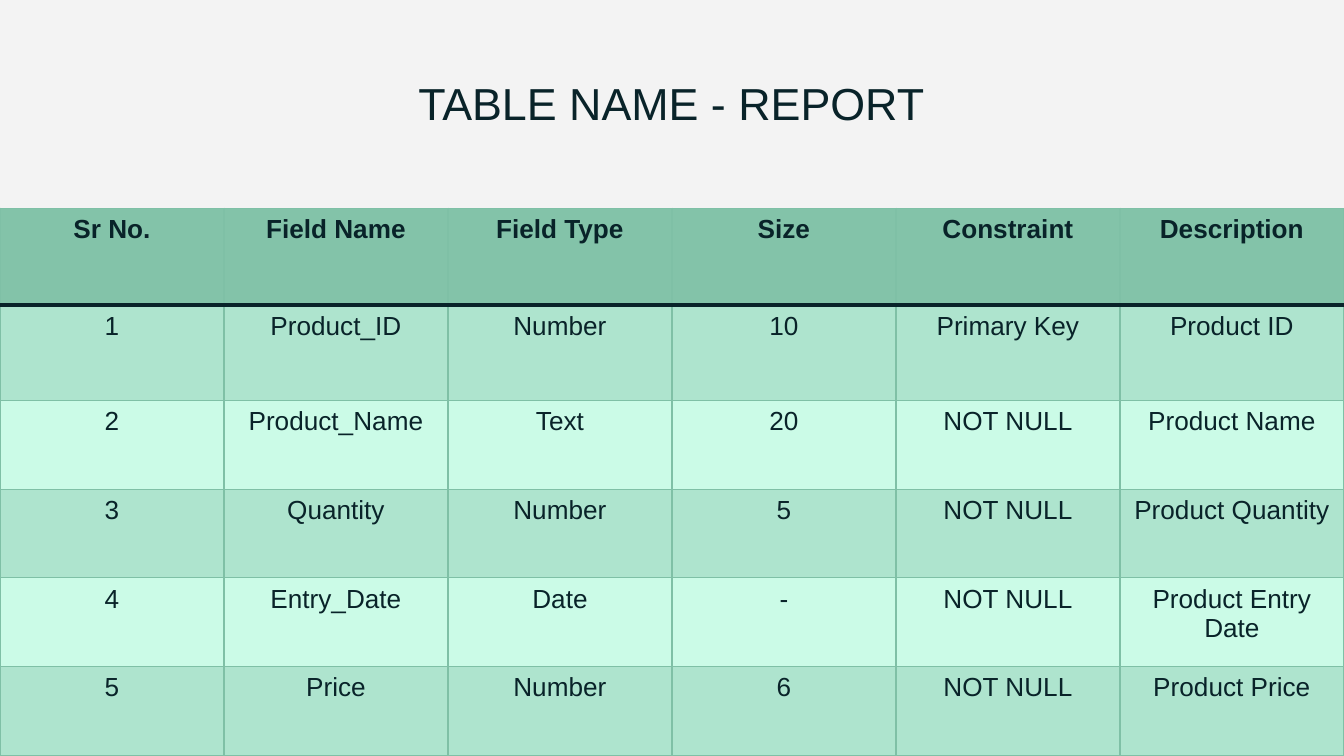
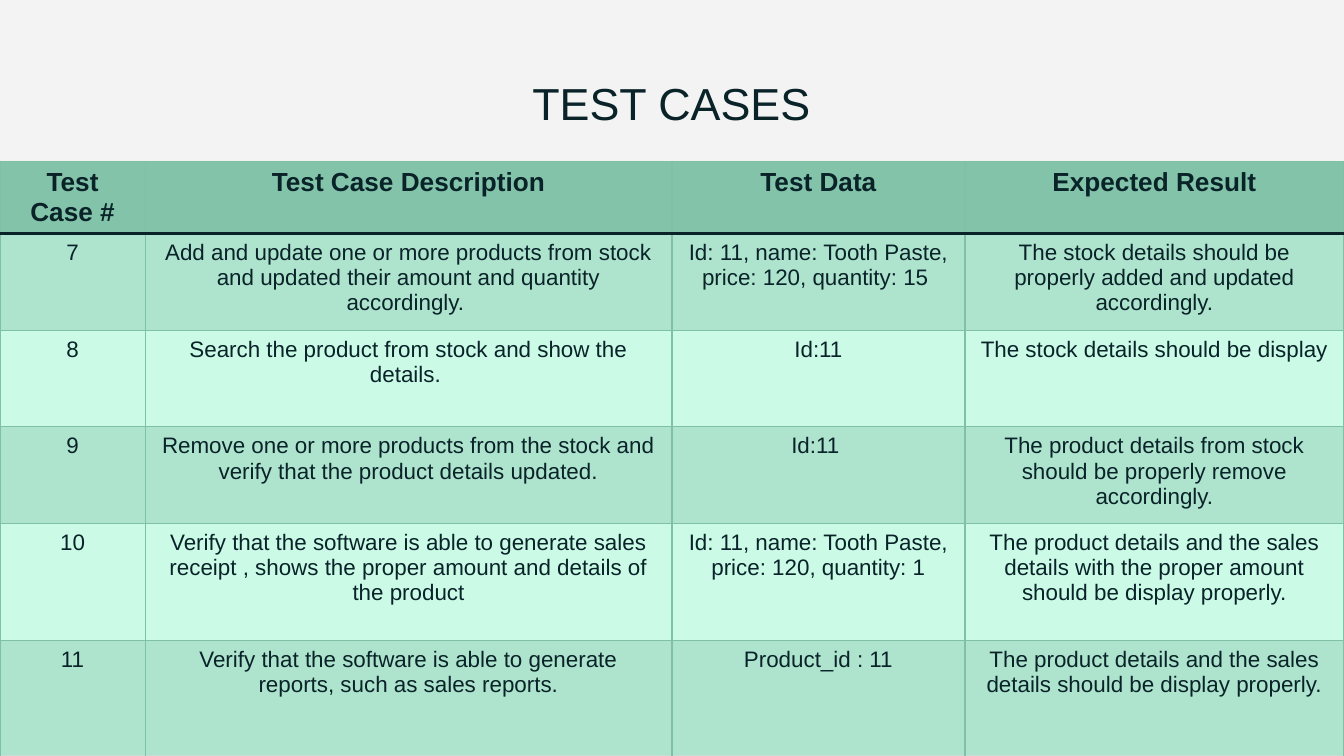
from lxml import etree
from pptx import Presentation
from pptx.dml.color import RGBColor
from pptx.enum.shapes import MSO_SHAPE
from pptx.enum.text import MSO_ANCHOR, PP_ALIGN
from pptx.oxml.ns import qn
from pptx.util import Inches, Pt

RECTANGLE = MSO_SHAPE.RECTANGLE
MIDDLE = MSO_ANCHOR.MIDDLE
CENTER = PP_ALIGN.CENTER

PAPER = RGBColor(0xF3, 0xF3, 0xF3)
MINT = RGBColor(0xCB, 0xFB, 0xE7)
SAGE = RGBColor(0x83, 0xC3, 0xA9)
GRID = RGBColor(0x7F, 0xC0, 0xA6)
INK = RGBColor(0x09, 0x23, 0x29)

FONT = "Arial"
WIDTH = Inches(10)
HEIGHT = WIDTH * 9 // 16
BAND_BOX = (Inches(-0.03), Inches(1.55), Inches(10.05), Inches(4.07))
TITLE_BOX = (Inches(1.5), Inches(0.45), Inches(6.99), Inches(0.63))
STRIPE_OPACITY = 40

REPORT_FIELDS = [
    ("Sr No.", "Field Name", "Field Type", "Size", "Constraint", "Description"),
    ("1", "Product_ID", "Number", "10", "Primary Key", "Product ID"),
    ("2", "Product_Name", "Text", "20", "NOT NULL", "Product Name"),
    ("3", "Quantity", "Number", "5", "NOT NULL", "Product Quantity"),
    ("4", "Entry_Date", "Date", "-", "NOT NULL", "Product Entry Date"),
    ("5", "Price", "Number", "6", "NOT NULL", "Product Price"),
]

TEST_CASES = [
    ("Test Case #", "Test Case Description", "Test Data", "Expected Result"),
    ("7",
     "Add and update one or more products from stock and updated their "
     "amount and quantity accordingly. ",
     "Id: 11, name: Tooth Paste, price: 120, quantity: 15 ",
     "The stock details should be properly added and updated accordingly."),
    ("8",
     "Search the product from stock and show the details. ",
     "Id:11",
     "The stock details should be display"),
    ("9",
     "Remove one or more products from the stock and verify that the "
     "product details updated.",
     "Id:11 ",
     "The product details from stock should be properly remove accordingly."),
    ("10",
     "Verify that the software is able to generate sales receipt , shows "
     "the proper amount and details of the product",
     "Id: 11, name: Tooth Paste, price: 120, quantity: 1",
     "The product details and the sales details with the proper amount "
     "should be display properly."),
    ("11",
     "Verify that the software is able to generate reports, such as sales "
     "reports.",
     "Product_id : 11",
     "The product details and the sales details should be display properly."),
]


def write(frame, wording, size, bold=False):
    paragraph = frame.paragraphs[0]
    paragraph.alignment = CENTER
    run = paragraph.add_run()
    run.text = wording
    run.font.name = FONT
    run.font.size = Pt(size)
    run.font.bold = bold
    run.font.color.rgb = INK


def add_border(cell, side, color, points):
    properties = cell._tc.get_or_add_tcPr()
    line = etree.SubElement(properties, qn("a:ln" + side), w=str(Pt(points)))
    fill = etree.SubElement(line, qn("a:solidFill"))
    etree.SubElement(fill, qn("a:srgbClr"), val=str(color))


def style_cell(cell, row):
    heavy_side = {0: "B", 1: "T"}.get(row)
    for side in "LRTB":
        if side == heavy_side:
            add_border(cell, side, INK, 2)
        else:
            add_border(cell, side, GRID, 0.75)
    if row and row % 2 == 0:
        cell.fill.background()
        return
    cell.fill.solid()
    cell.fill.fore_color.rgb = SAGE
    if row:
        color = cell._tc.tcPr.find(qn("a:solidFill")).find(qn("a:srgbClr"))
        etree.SubElement(color, qn("a:alpha"), val=str(STRIPE_OPACITY * 1000))
    else:
        cell.margin_bottom = Inches(0.02)


def add_band(slide, box):
    band = slide.shapes.add_shape(RECTANGLE, *box)
    band.shadow.inherit = False
    band.fill.solid()
    band.fill.fore_color.rgb = MINT
    band.line.fill.background()


def add_title(slide, box, wording):
    frame = slide.shapes.add_textbox(*box).text_frame
    frame.word_wrap = True
    frame.vertical_anchor = MIDDLE
    frame.margin_left = frame.margin_right = Inches(0.1)
    frame.margin_top = frame.margin_bottom = Inches(0.1)
    write(frame, wording, 24)


def add_grid(slide, top, records, columns, rows, body_size):
    height = Inches(sum(rows))
    grid = slide.shapes.add_table(
        len(rows), len(columns), 0, top, WIDTH, height).table
    grid.first_row = grid.horz_banding = False
    for column, share in zip(grid.columns, columns):
        column.width = int(WIDTH * share / sum(columns))
    for row, row_height in zip(grid.rows, rows):
        row.height = Inches(row_height)
    for r, record in enumerate(records):
        for c, wording in enumerate(record):
            cell = grid.cell(r, c)
            style_cell(cell, r)
            write(cell.text_frame, wording, body_size if r else 14, r == 0)


def add_table_slide(deck, title, top, records, columns, rows, body_size):
    slide = deck.slides.add_slide(deck.slide_layouts[6])
    slide.background.fill.solid()
    slide.background.fill.fore_color.rgb = PAPER
    add_band(slide, BAND_BOX)
    add_title(slide, TITLE_BOX, title)
    add_grid(slide, top, records, columns, rows, body_size)


def main():
    deck = Presentation()
    deck.slide_width, deck.slide_height = WIDTH, HEIGHT
    add_table_slide(deck, "TABLE NAME - REPORT", Inches(1.55), REPORT_FIELDS,
                    [1] * 6, [0.72, 0.71] + [0.66] * 4, 14)
    add_table_slide(deck, "TEST CASES", Inches(1.2), TEST_CASES,
                    [1.08, 3.92, 2.18, 2.82],
                    [0.45] + [0.72] * 3 + [0.87, 0.94], 12)
    deck.save("out.pptx")


if __name__ == "__main__":
    main()
